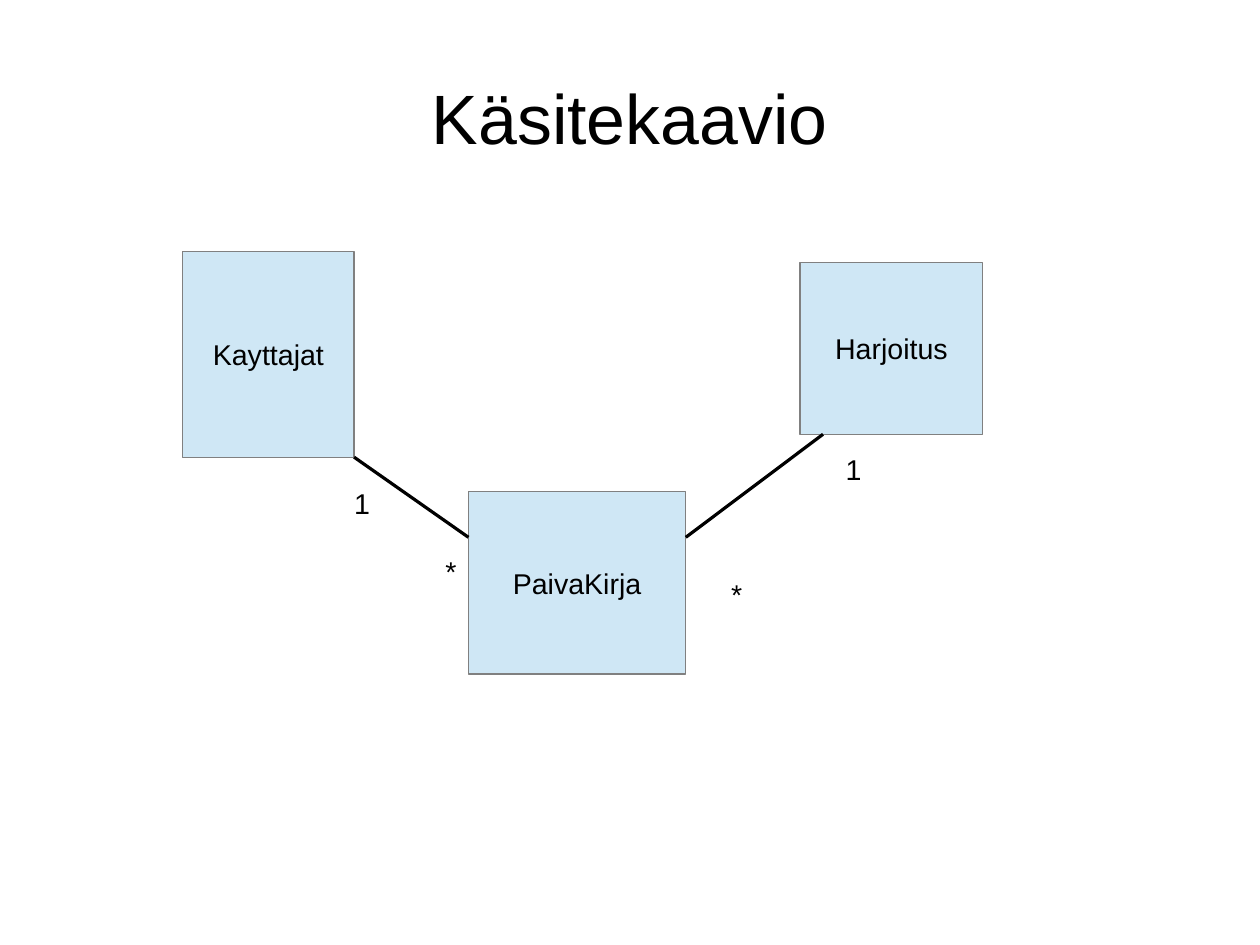
from pptx import Presentation
from pptx.dml.color import RGBColor
from pptx.enum.shapes import MSO_CONNECTOR, MSO_SHAPE
from pptx.enum.text import MSO_ANCHOR, MSO_AUTO_SIZE, PP_ALIGN
from pptx.oxml.ns import qn
from pptx.util import Cm, Pt
from lxml import etree

RECT, STRAIGHT = MSO_SHAPE.RECTANGLE, MSO_CONNECTOR.STRAIGHT
MIDDLE, TOP = MSO_ANCHOR.MIDDLE, MSO_ANCHOR.TOP
CENTER, LEFT = PP_ALIGN.CENTER, PP_ALIGN.LEFT
FIT_SHAPE, FIT_NONE = MSO_AUTO_SIZE.SHAPE_TO_FIT_TEXT, MSO_AUTO_SIZE.NONE

FONT = "Arial"
COLORS = {"text": "000000", "line": "000000", "box": "CFE7F5", "border": "808080"}

# Entities and labels: text and box (left, top, width, height) in cm
ENTITIES = [
    ("Kayttajat", (4.06, 5.59, 3.81, 4.57)),
    ("PaivaKirja", (10.41, 10.92, 4.83, 4.06)),
    ("Harjoitus", (17.78, 5.84, 4.06, 3.81)),
]
MULTIPLICITIES = [
    ("1", (7.62, 10.67, 0.86, 0.97)),
    ("*", (9.65, 12.19, 0.74, 0.97)),
    ("1", (18.54, 9.91, 0.86, 0.97)),
    ("*", (16, 12.7, 0.74, 0.97)),
]
# Relations: start x, y and end x, y in cm
RELATIONS = [(7.87, 10.16, 10.41, 11.94), (15.24, 11.94, 18.29, 9.65)]


def rgb(name):
    return RGBColor.from_string(COLORS[name])


def write(tf, text, size=18, align=LEFT, anchor=TOP, wrap=False, fit=FIT_NONE):
    tf.auto_size = fit
    tf.word_wrap = wrap
    tf.vertical_anchor = anchor
    p = tf.paragraphs[0]
    p.alignment = align
    r = p.add_run()
    r.text = text
    r.font.size = Pt(size)
    r.font.name = FONT
    r.font.color.rgb = rgb("text")


def add_title(s, text, box):
    sp = s.shapes.title
    sp.left, sp.top, sp.width, sp.height = map(Cm, box)
    tf = sp.text_frame
    tf.margin_left = tf.margin_top = tf.margin_right = tf.margin_bottom = 0
    write(tf, text, 44, CENTER, MIDDLE, wrap=True)


def add_entity(s, text, box):
    sp = s.shapes.add_shape(RECT, *map(Cm, box))
    sp.shadow.inherit = False
    sp.fill.solid()
    sp.fill.fore_color.rgb = rgb("box")
    sp.line.color.rgb = rgb("border")
    sp.line.width = Pt(0)
    write(sp.text_frame, text, align=CENTER, anchor=MIDDLE)


def add_relation(s, ends):
    line = s.shapes.add_connector(STRAIGHT, *map(Cm, ends))
    line.line.color.rgb = rgb("line")
    line.line.width = Pt(0)
    etree.SubElement(line._element.spPr, qn("a:effectLst"))


def add_multiplicity(s, text, box):
    sp = s.shapes.add_textbox(*map(Cm, box))
    write(sp.text_frame, text, fit=FIT_SHAPE)


def add_concept_slide(prs):
    s = prs.slides.add_slide(prs.slide_layouts[5])
    add_title(s, "Käsitekaavio", (1.4, 0.84, 25.2, 3.5))
    for text, box in ENTITIES:
        add_entity(s, text, box)
    for ends in RELATIONS:
        add_relation(s, ends)
    for text, box in MULTIPLICITIES:
        add_multiplicity(s, text, box)


def main():
    prs = Presentation()
    prs.slide_width, prs.slide_height = Cm(28), Cm(21)
    add_concept_slide(prs)
    prs.save("out.pptx")


if __name__ == "__main__":
    main()
